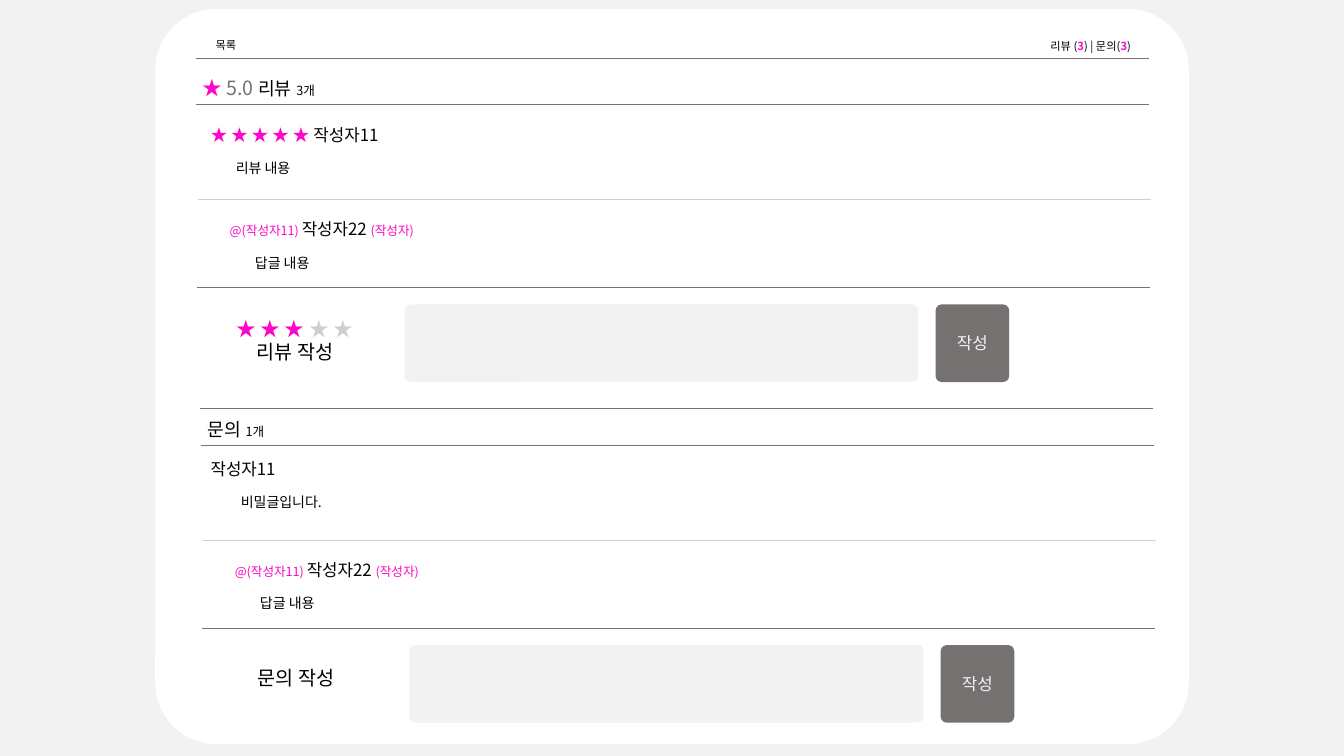
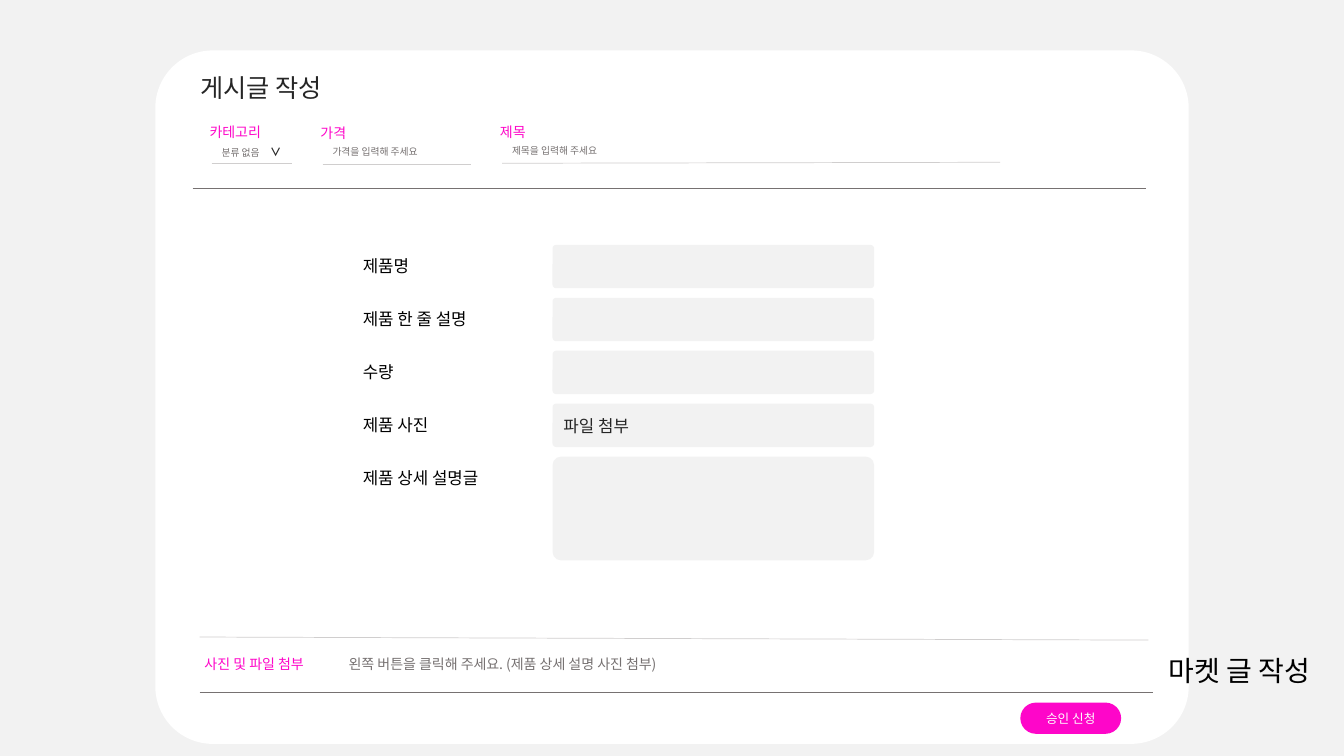
from dataclasses import dataclass

import lxml.etree
import pptx
import pptx.dml.color
import pptx.enum.shapes
import pptx.enum.text
import pptx.oxml.ns
import pptx.util
from pptx.util import Inches

FONT = "Noto Sans CJK KR"
PINK, BLACK, WHITE = "FE06C9", "000000", "FFFFFF"
DARK, GRAY, SILVER, PALE = "262626", "767171", "D0CECE", "F2F2F2"
RULE_WIDTH = 9.46
CORNER = 0.083
LEFT = pptx.enum.text.PP_ALIGN.LEFT
CENTER = pptx.enum.text.PP_ALIGN.CENTER


@dataclass
class Run:
    text: str
    size: float
    color: str = BLACK
    bold: bool = False


@dataclass
class Line:
    """One paragraph; indent and tab are in inches, height in points."""
    runs: list[Run]
    align: int = LEFT
    indent: float = 0
    tab: float = 0
    height: float = 0


@dataclass
class HeaderField:
    label: str
    hint: list[Run]
    left: float
    top: float
    rule_width: float
    rule_rise: float = 0
    tab: float = 0


@dataclass
class FormRow:
    label: str
    height: float = 0.43
    value: str = ""


def rgb(color: str) -> pptx.dml.color.RGBColor:
    return pptx.dml.color.RGBColor.from_string(color)


def style_font(font, run: Run) -> None:
    font.size = pptx.util.Pt(run.size)
    font.color.rgb = rgb(run.color)
    font.bold = run.bold


def write_lines(text_frame, lines: list[Line]) -> None:
    text_frame.word_wrap = True
    for index, line in enumerate(lines):
        paragraph = text_frame.paragraphs[0] if index == 0 else text_frame.add_paragraph()
        paragraph.alignment = line.align
        if line.height:
            paragraph.line_spacing = pptx.util.Pt(line.height)
        properties = paragraph._p.get_or_add_pPr()
        if line.indent:
            properties.set("marL", str(Inches(line.indent)))
            properties.set("indent", "0")
        if line.tab:
            tabs = lxml.etree.SubElement(properties, pptx.oxml.ns.qn("a:tabLst"))
            lxml.etree.SubElement(tabs, pptx.oxml.ns.qn("a:tab"),
                                  pos=str(Inches(line.tab)), algn="l")
        paragraph.font.name = FONT
        defaults = properties.find(pptx.oxml.ns.qn("a:defRPr"))
        lxml.etree.SubElement(defaults, pptx.oxml.ns.qn("a:ea"), typeface=FONT)
        if len(line.runs) == 1:
            style_font(paragraph.font, line.runs[0])
        for part in line.runs:
            run = paragraph.add_run()
            run.text = part.text
            if len(line.runs) > 1:
                style_font(run.font, part)


def add_text(slide, left: float, top: float, width: float, height: float,
             *lines: Line) -> None:
    box = slide.shapes.add_textbox(Inches(left), Inches(top), Inches(width), Inches(height))
    write_lines(box.text_frame, list(lines))


def add_box(slide, left: float, top: float, width: float, height: float,
            fill: str, line: Line | None = None, corner: float = CORNER) -> None:
    shape = slide.shapes.add_shape(
        pptx.enum.shapes.MSO_SHAPE.ROUNDED_RECTANGLE,
        Inches(left), Inches(top), Inches(width), Inches(height))
    shape.adjustments[0] = corner
    shape.shadow.inherit = False
    shape.fill.solid()
    shape.fill.fore_color.rgb = rgb(fill)
    shape.line.fill.background()
    if line:
        shape.text_frame.vertical_anchor = pptx.enum.text.MSO_ANCHOR.MIDDLE
        write_lines(shape.text_frame, [line])


def add_rule(slide, left: float, top: float, width: float = RULE_WIDTH,
             color: str = GRAY, rise: float = 0) -> None:
    rule = slide.shapes.add_connector(
        pptx.enum.shapes.MSO_CONNECTOR.STRAIGHT,
        Inches(left), Inches(top), Inches(left + width), Inches(top - rise))
    rule.line.color.rgb = rgb(color)
    rule.line.width = pptx.util.Pt(0.5)
    lxml.etree.SubElement(rule._element.spPr, pptx.oxml.ns.qn("a:effectLst"))


def add_panel_slide(presentation, panel_top: float, panel_height: float):
    slide = presentation.slides.add_slide(presentation.slide_layouts[6])
    slide.background.fill.solid()
    slide.background.fill.fore_color.rgb = rgb(PALE)
    add_box(slide, 1.54, panel_top, 10.25, panel_height, WHITE)
    return slide


def add_section_title(slide, left: float, top: float, title: str, count: str,
                      rating: list[Run]) -> None:
    runs = [*rating, Run(title, 13), Run(" ", 15), Run(count, 9)]
    add_text(slide, left, top, 1.95, 0.35, Line(runs))


def add_post(slide, left: float, top: float, heading: list[Run], body: str,
             heading_indent: float = 0.05) -> None:
    add_text(slide, left, top, 3.25, 0.64,
             Line(heading, indent=heading_indent, height=22),
             Line([Run(body, 10)], indent=0.3, height=22.5))


def add_reply_and_form(slide, left: float, top: float) -> None:
    """Draw the reply between two rules, then the entry box with its button."""
    add_rule(slide, left + 0.01, top, color=SILVER)
    add_post(slide, left + 0.18, top + 0.04,
             [Run("@(작성자11) ", 9, PINK), Run("작성자22 ", 12), Run("(작성자)", 9, PINK)],
             "답글 내용")
    add_rule(slide, left, top + 0.87)
    add_box(slide, left + 2.06, top + 1.04, 5.1, 0.77, PALE)
    add_box(slide, left + 7.33, top + 1.04, 0.73, 0.77, GRAY,
            Line([Run("작성", 12, PALE)], CENTER))


def build_review_slide(presentation) -> None:
    slide = add_panel_slide(presentation, 0.09, 7.29)
    add_text(slide, 2.04, 0.33, 0.46, 0.24, Line([Run("목록", 8)]))
    add_text(slide, 10.32, 0.34, 1.2, 0.24, Line([
        Run("리뷰 (", 8), Run("3", 8, PINK, True), Run(") | 문의(", 8),
        Run("3", 8, PINK, True), Run(")", 8)]))
    for left, top in ((1.94, 0.58), (1.94, 1.04), (1.98, 4.05), (1.99, 4.42)):
        add_rule(slide, left, top)

    add_section_title(slide, 1.91, 0.69, "리뷰", "3개",
                      [Run("★ ", 14, PINK), Run("5.0 ", 14, GRAY)])
    add_post(slide, 1.94, 1.08, [Run("★ ★ ★ ★ ★ ", 12, PINK), Run("작성자11", 12)],
             "리뷰 내용")
    add_reply_and_form(slide, 1.95, 1.98)
    add_text(slide, 1.95, 3.09, 1.95, 0.57,
             Line([Run("★ ★ ★ ", 14, PINK), Run("★ ★", 14, SILVER)], CENTER),
             Line([Run("리뷰 작성", 14)], CENTER))

    add_section_title(slide, 1.96, 4.07, "문의", "1개", [])
    add_post(slide, 1.99, 4.4, [Run("작성자11", 12)], "비밀글입니다.", heading_indent=0)
    add_reply_and_form(slide, 2, 5.36)
    add_text(slide, 1.96, 6.56, 1.95, 0.34, Line([Run("문의 작성", 14)], CENTER))


def add_header_field(slide, field: HeaderField) -> None:
    add_text(slide, field.left, field.top, 0.82, 0.27, Line([Run(field.label, 10, PINK)]))
    add_rule(slide, field.left + 0.12, field.top + 0.44, field.rule_width, SILVER,
             field.rule_rise)
    add_text(slide, field.left + 0.12, field.top + 0.21, 1.32, 0.22,
             Line(field.hint, tab=field.tab))


def build_market_slide(presentation) -> None:
    slide = add_panel_slide(presentation, 0.5, 6.88)
    add_text(slide, 1.89, 0.67, 1.61, 0.4, Line([Run("게시글 작성", 18, DARK)]))
    for field in (
        HeaderField("카테고리", [Run("분류 없음\t", 7, GRAY), Run("∨", 8, DARK, True)],
                    1.98, 1.18, 0.8, tab=0.48),
        HeaderField("가격", [Run("가격을 입력해 주세요", 7, GRAY)], 3.08, 1.19, 1.47),
        HeaderField("제목", [Run("제목을 입력해 주세요", 7, GRAY)], 4.86, 1.18, 4.94, 0.01),
    ):
        add_header_field(slide, field)
    add_rule(slide, 1.91, 1.87)

    rows = [FormRow("제품명"), FormRow("제품 한 줄 설명"), FormRow("수량"),
            FormRow("제품 사진", value="파일 첨부"), FormRow("제품 상세 설명글", 1.03)]
    first_top, last_top = 2.43, 4.53
    step = (last_top - first_top) / (len(rows) - 1)
    for index, row in enumerate(rows):
        top = first_top + index * step
        value = Line([Run(row.value, 12, DARK)]) if row.value else None
        add_box(slide, 5.48, top, 3.19, row.height, PALE, value)
        add_text(slide, 3.5, top + 0.06, 1.54, 0.3, Line([Run(row.label, 12)]))

    add_rule(slide, 1.98, 6.32, 9.41, SILVER, -0.03)
    add_text(slide, 1.93, 6.45, RULE_WIDTH, 0.27, Line([
        Run("사진 및 파일 첨부\t", 10, PINK),
        Run("왼쪽 버튼을 클릭해 주세요. (제품 상세 설명 사진 첨부)", 10, GRAY)], tab=1.43))
    add_rule(slide, 1.98, 6.87)
    add_box(slide, 10.12, 6.97, 1, 0.31, PINK,
            Line([Run("승인 신청", 9, WHITE)], CENTER), corner=0.5)
    add_text(slide, 11.25, 6.43, 2.08, 0.44, Line([Run("마켓 글 작성", 20)], CENTER))


def main() -> None:
    presentation = pptx.Presentation()
    presentation.slide_width = Inches(13.33)
    presentation.slide_height = Inches(7.5)
    build_review_slide(presentation)
    build_market_slide(presentation)
    presentation.save("out.pptx")


if __name__ == "__main__":
    main()
